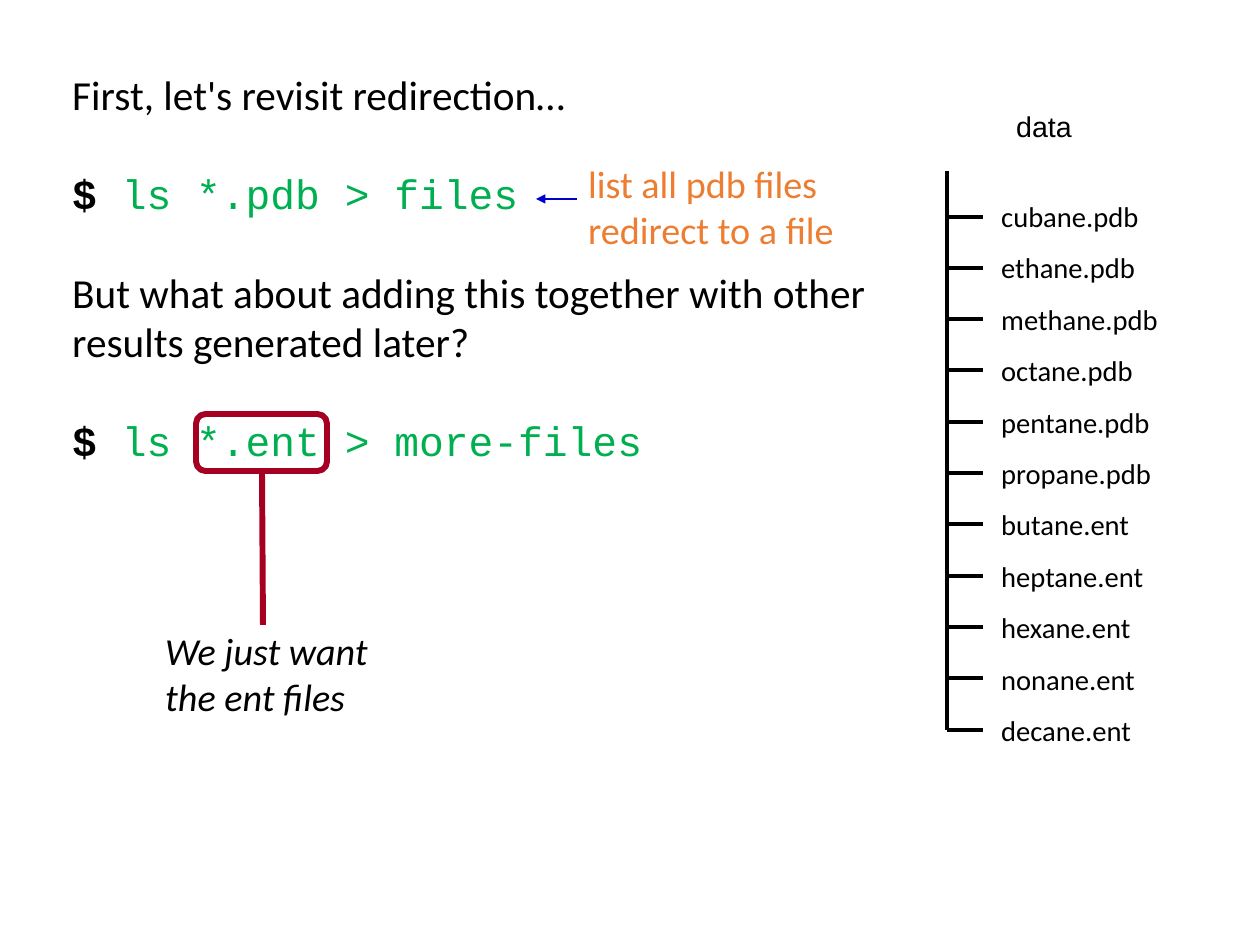
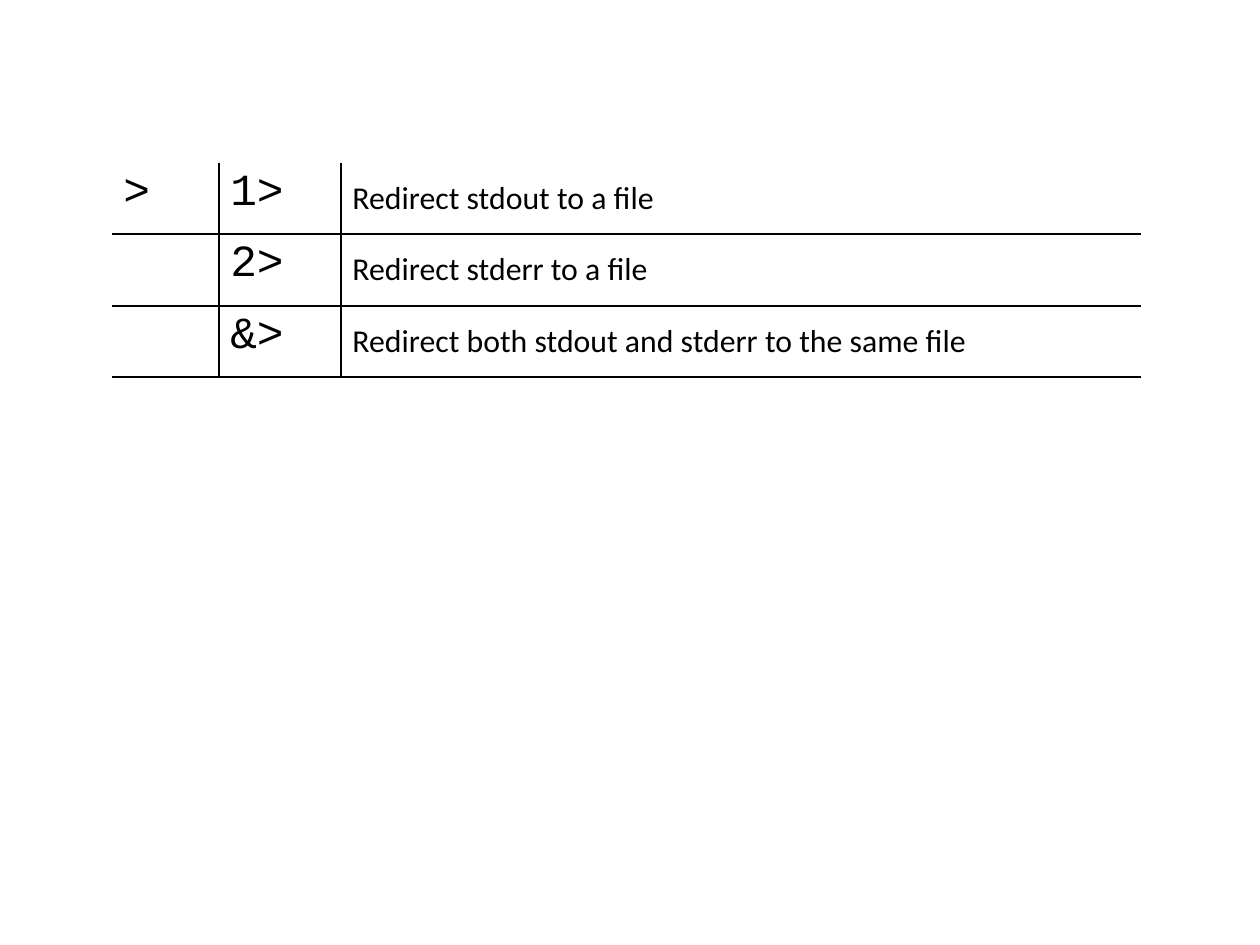
from dataclasses import dataclass

from lxml import etree
from pptx import Presentation
from pptx.dml.color import RGBColor
from pptx.enum.shapes import MSO_CONNECTOR, MSO_SHAPE
from pptx.enum.text import MSO_ANCHOR, PP_ALIGN
from pptx.oxml.ns import qn
from pptx.util import Pt

STRAIGHT = MSO_CONNECTOR.STRAIGHT
ROUNDED = MSO_SHAPE.ROUNDED_RECTANGLE
TOP, MIDDLE = MSO_ANCHOR.TOP, MSO_ANCHOR.MIDDLE
LEFT, CENTER = PP_ALIGN.LEFT, PP_ALIGN.CENTER
EMU_PER_PX = 8000
BLANK_LAYOUT = 6


def px(*lengths):
    return [length * EMU_PER_PX for length in lengths]


def look(name, size, color, bold=False, italic=False):
    font = {"name": name, "size": Pt(size), "bold": bold, "italic": italic}
    return {"font": font, "color": color}


@dataclass(frozen=True)
class Theme:
    ink: str = "000000"
    code: str = "00B050"
    hint: str = "ED7D31"
    arrow: str = "0000CC"
    accent: str = "A50021"
    sans: str = "Calibri"
    mono: str = "Courier New"
    label: str = "Arial"
    body_size: int = 26
    note_size: int = 24
    file_size: int = 18
    symbol_size: int = 28
    cell_size: int = 20
    tight: float = 0.93
    loose: float = 1.5
    para_gap: float = 31
    border: float = 1
    hairline: float = 0.75
    branch: float = 2.25
    callout: float = 3.75


THEME = Theme()
BODY = look(THEME.sans, THEME.body_size, THEME.ink)
PROMPT = look(THEME.mono, THEME.body_size, THEME.ink, bold=True)
COMMAND = look(THEME.mono, THEME.body_size, THEME.code)
HINT = look(THEME.sans, THEME.note_size, THEME.hint)
REMARK = look(THEME.sans, THEME.note_size, THEME.ink, italic=True)
FILE = look(THEME.sans, THEME.file_size, THEME.ink)
FOLDER = look(THEME.label, THEME.file_size, THEME.ink)
SYMBOL = look(THEME.mono, THEME.symbol_size, THEME.ink)
MEANING = look(THEME.sans, THEME.cell_size, THEME.ink)


class Deck:
    def __init__(self, width, height):
        self.deck = Presentation()
        self.deck.slide_width, self.deck.slide_height = px(width, height)
        self.page = None

    def new_page(self):
        layout = self.deck.slide_layouts[BLANK_LAYOUT]
        self.page = self.deck.slides.add_slide(layout)

    def span(self, para, text, style):
        span = para.add_run()
        span.text = text
        for key, value in style["font"].items():
            setattr(span.font, key, value)
        span.font.color.rgb = RGBColor.from_string(style["color"])

    def text(self, at, paras, gap=0, spacing=1.0, align=LEFT):
        frame = self.page.shapes.add_textbox(*px(*at)).text_frame
        frame.word_wrap = True
        frame.vertical_anchor = TOP
        for index, spans in enumerate(paras):
            para = frame.add_paragraph() if index else frame.paragraphs[0]
            form = {"alignment": align, "line_spacing": spacing}
            if index and gap:
                form["space_before"] = Pt(gap)
            for key, value in form.items():
                setattr(para, key, value)
            for text, style in spans:
                self.span(para, text, style)

    def stroke(self, shape, color, weight):
        shape.line.color.rgb = RGBColor.from_string(color)
        shape.line.width = Pt(weight)

    def line(self, start, end, color, weight, arrow=False):
        line = self.page.shapes.add_connector(STRAIGHT, *px(*start, *end))
        self.stroke(line, color, weight)
        if arrow:
            outline = line._element.spPr.find(qn("a:ln"))
            etree.SubElement(outline, qn("a:tailEnd")).set("type", "triangle")
        etree.SubElement(line._element.spPr, qn("a:effectLst"))

    def frame(self, at, color, weight):
        box = self.page.shapes.add_shape(ROUNDED, *px(*at))
        box.shadow.inherit = False
        box.fill.background()
        self.stroke(box, color, weight)

    def cell_borders(self, cell, visible):
        props = cell._tc.get_or_add_tcPr()
        for side in "LRTB":
            edge = etree.SubElement(props, qn(f"a:ln{side}"))
            if side in visible:
                edge.set("w", str(int(Pt(THEME.border))))
                fill = etree.SubElement(edge, qn("a:solidFill"))
                etree.SubElement(fill, qn("a:srgbClr")).set("val", THEME.ink)
            else:
                etree.SubElement(edge, qn("a:noFill"))

    def table(self, left, top, widths, heights, rows, styles):
        at = px(left, top, sum(widths), sum(heights))
        table = self.page.shapes.add_table(len(rows), len(widths), *at).table
        table.first_row = table.horz_banding = False
        for column, width in zip(table.columns, px(*widths)):
            column.width = width
        for row, height in zip(table.rows, px(*heights)):
            row.height = height
        last = len(widths) - 1
        for r, texts in enumerate(rows):
            for c, (text, style) in enumerate(zip(texts, styles)):
                cell = table.cell(r, c)
                sides = "B" + "T" * (r > 0) + "L" * (c > 0) + "R" * (c < last)
                self.cell_borders(cell, sides)
                cell.fill.background()
                cell.vertical_anchor = MIDDLE if c == last else TOP
                para = cell.text_frame.paragraphs[0]
                para.line_spacing = THEME.tight
                if text:
                    self.span(para, text, style)

    def file_tree(self, folder, files):
        trunk, tip, first, step_tenths = 947, 983, 217, 513
        self.text((987, 106, 114, 43), [[(folder, FOLDER)]],
                  spacing=THEME.tight, align=CENTER)
        self.text((990, 176, 206, 581), [[(name, FILE)] for name in files],
                  spacing=THEME.loose)
        levels = [first + i * step_tenths // 10 for i in range(len(files))]
        for y in levels:
            self.line((trunk, y), (tip, y), THEME.ink, THEME.branch)
        self.line((trunk, 171), (trunk, levels[-1]), THEME.ink, THEME.branch)


def redirection_page(deck):
    deck.new_page()
    deck.file_tree("data", [
        "cubane.pdb", "ethane.pdb", "methane.pdb", "octane.pdb",
        "pentane.pdb", "propane.pdb", "butane.ent", "heptane.ent",
        "hexane.ent", "nonane.ent", "decane.ent"])
    deck.text((61, 64, 884, 512), [
        [("First, let's revisit redirection…", BODY)],
        [("$ ", PROMPT), ("ls *.pdb > files", COMMAND)],
        [("But what about adding this together with other results "
          "generated later?", BODY)],
        [("$ ", PROMPT), ("ls *.ent > more-files", COMMAND)],
    ], gap=THEME.para_gap)
    deck.text((577, 155, 297, 107), [
        [("list all pdb files", HINT)], [("redirect to a file", HINT)]])
    deck.line((577, 199), (536, 199), THEME.arrow, THEME.hairline, arrow=True)
    deck.frame((196, 414, 131, 57), THEME.accent, THEME.callout)
    deck.line((262, 471), (263, 625), THEME.accent, THEME.callout)
    deck.text((154, 622, 248, 104), [[("We just want the ent files", REMARK)]])


def operators_page(deck):
    deck.new_page()
    deck.table(112, 163, [107, 122, 800], [71, 72, 71], [
        (">", "1>", "Redirect stdout to a file"),
        ("", "2>", "Redirect stderr to a file"),
        ("", "&>", "Redirect both stdout and stderr to the same file"),
    ], [SYMBOL, SYMBOL, MEANING])


def main():
    deck = Deck(1260, 945)
    redirection_page(deck)
    operators_page(deck)
    deck.deck.save("out.pptx")


if __name__ == "__main__":
    main()
